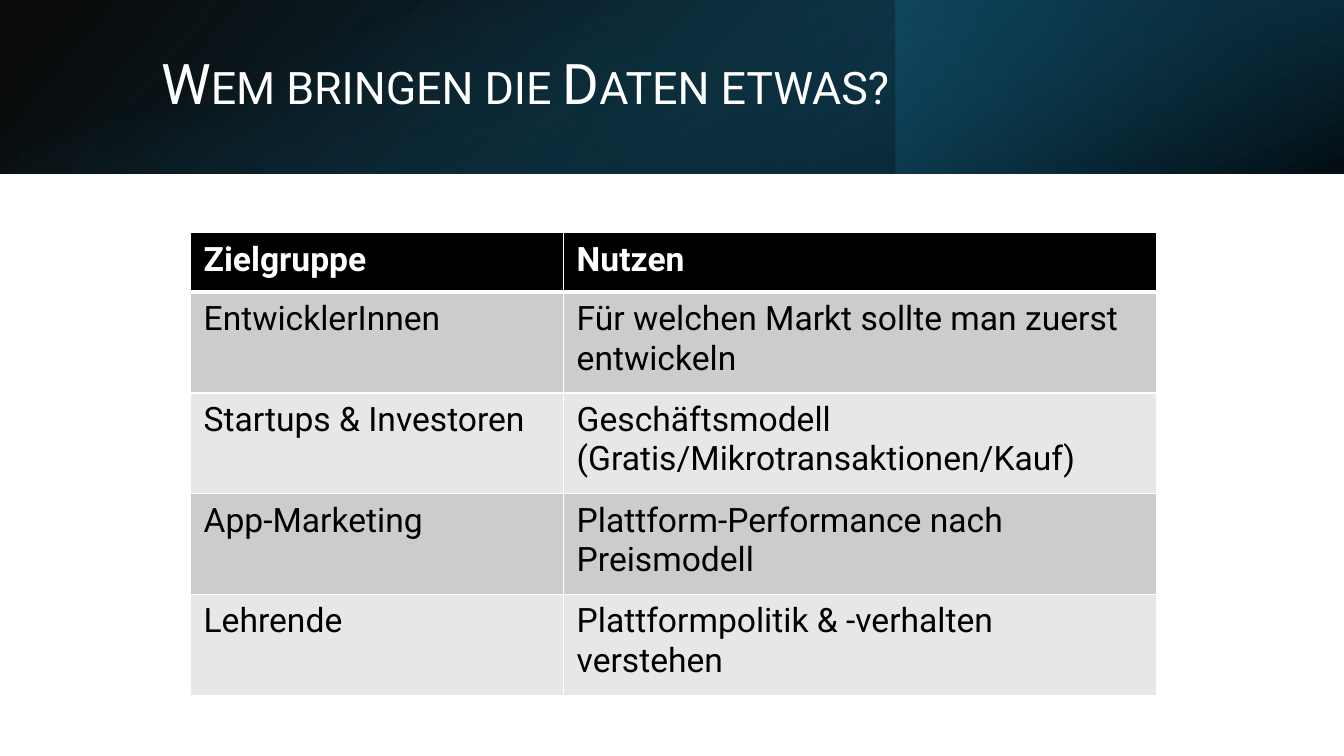
from lxml.etree import SubElement
from pptx import Presentation
from pptx.dml.color import RGBColor
from pptx.enum.shapes import MSO_SHAPE
from pptx.enum.text import MSO_ANCHOR
from pptx.oxml.ns import qn
from pptx.util import Inches, Pt

FONT = "Roboto"
WHITE = RGBColor(0xFF, 0xFF, 0xFF)
BLACK = RGBColor(0x00, 0x00, 0x00)
TEAL = RGBColor(0x15, 0x60, 0x82)
DEEP = RGBColor(0x10, 0x48, 0x62)
NIGHT = RGBColor(0x0B, 0x30, 0x41)
GREY = RGBColor(0xCC, 0xCC, 0xCC)
PALE = RGBColor(0xE7, 0xE7, 0xE7)

WIDTH, BAND = 13.33, 1.72
COLUMNS = [3.7, 5.88]
HEAD_ROW, BODY_ROW = 0.59, 1
ROWS = [
    ("Zielgruppe", "Nutzen"),
    ("EntwicklerInnen", "Für welchen Markt sollte man zuerst entwickeln"),
    ("Startups & Investoren", "Geschäftsmodell (Gratis/Mikrotransaktionen/Kauf)"),
    ("App-Marketing", "Plattform-Performance nach Preismodell"),
    ("Lehrende", "Plattformpolitik & -verhalten verstehen"),
]


def write_text(frame, words, size=24, color=BLACK, bold=False, caps=False, spacing=None):
    frame.word_wrap = True
    para = frame.paragraphs[0]
    para.line_spacing = spacing
    run = para.add_run()
    run.text = words
    run.font.name = FONT
    run.font.size = Pt(size)
    run.font.bold = bold
    run.font.color.rgb = color
    if caps:
        run.font._element.set("cap", "small")


def add_glow(slide, box, stops, angle, turn=0, flip=False):
    """Add a gradient rectangle; stops are (position, colour, opacity), angle is clockwise."""
    shape = slide.shapes.add_shape(MSO_SHAPE.RECTANGLE, *map(Inches, box))
    shape.shadow.inherit = False
    shape.line.fill.background()
    shape.rotation = turn
    if flip:
        shape._element.spPr.xfrm.set("flipH", "1")
    shape.fill.gradient()
    shape.fill.gradient_angle = 360 - angle
    for stop, (place, color, _) in zip(shape.fill.gradient_stops, stops):
        stop.position = place / 100
        stop.color.rgb = color
    tints = list(shape._element.spPr.iter(qn("a:srgbClr")))
    for tint, (_, _, alpha) in zip(tints, stops):
        SubElement(tint, qn("a:alpha"), val=str(alpha * 1000))


def add_band(slide):
    add_glow(slide, (0, 0, WIDTH, BAND),
             [(0, BLACK, 96), (100, DEEP, 100)], 140, flip=True)
    add_glow(slide, (WIDTH * 2 / 3, 0, WIDTH / 3, BAND),
             [(19, NIGHT, 68), (100, TEAL, 79)], 320, turn=180)
    # Turned upright about the centre of the band
    add_glow(slide, ((WIDTH - BAND) / 2, (BAND - WIDTH) / 2, BAND, WIDTH),
             [(23, TEAL, 0), (99, BLACK, 74)], 340, turn=90)


def add_title(slide, words):
    box = slide.shapes.add_textbox(Inches(1.5), Inches(0.38), Inches(10.98), Inches(0.96))
    box.text_frame.vertical_anchor = MSO_ANCHOR.MIDDLE
    write_text(box.text_frame, words, size=40, color=WHITE, caps=True, spacing=0.9)


def set_edges(cell, top, bottom):
    props = cell._tc.get_or_add_tcPr()
    for side, width in zip("LRTB", (1, 1, top, bottom)):
        line = SubElement(props, qn(f"a:ln{side}"), w=str(Pt(width)))
        fill = SubElement(line, qn("a:solidFill"))
        SubElement(fill, qn("a:srgbClr"), val=str(WHITE))


def fill_cell(cell, words, row):
    head = row == 0
    cell.margin_left = cell.margin_right = Inches(0.13)
    cell.margin_top = cell.margin_bottom = Inches(0.07)
    set_edges(cell, top=3 if row == 1 else 1, bottom=3 if head else 1)
    cell.fill.solid()
    cell.fill.fore_color.rgb = BLACK if head else GREY if row % 2 else PALE
    write_text(cell.text_frame, words, color=WHITE if head else BLACK, bold=head)


def add_grid(slide):
    heights = [HEAD_ROW] + [BODY_ROW] * (len(ROWS) - 1)
    table = slide.shapes.add_table(
        len(ROWS), len(COLUMNS), Inches(1.89), Inches(2.31),
        Inches(sum(COLUMNS)), Inches(sum(heights))).table
    for column, width in zip(table.columns, COLUMNS):
        column.width = Inches(width)
    for row, (height, texts) in enumerate(zip(heights, ROWS)):
        table.rows[row].height = Inches(height)
        for col, words in enumerate(texts):
            fill_cell(table.cell(row, col), words, row)


def main():
    deck = Presentation()
    deck.slide_width = Inches(WIDTH)
    deck.slide_height = Inches(7.5)
    slide = deck.slides.add_slide(deck.slide_layouts[6])
    add_band(slide)
    add_title(slide, "Wem bringen die Daten etwas?")
    add_grid(slide)
    deck.save("out.pptx")


if __name__ == "__main__":
    main()
